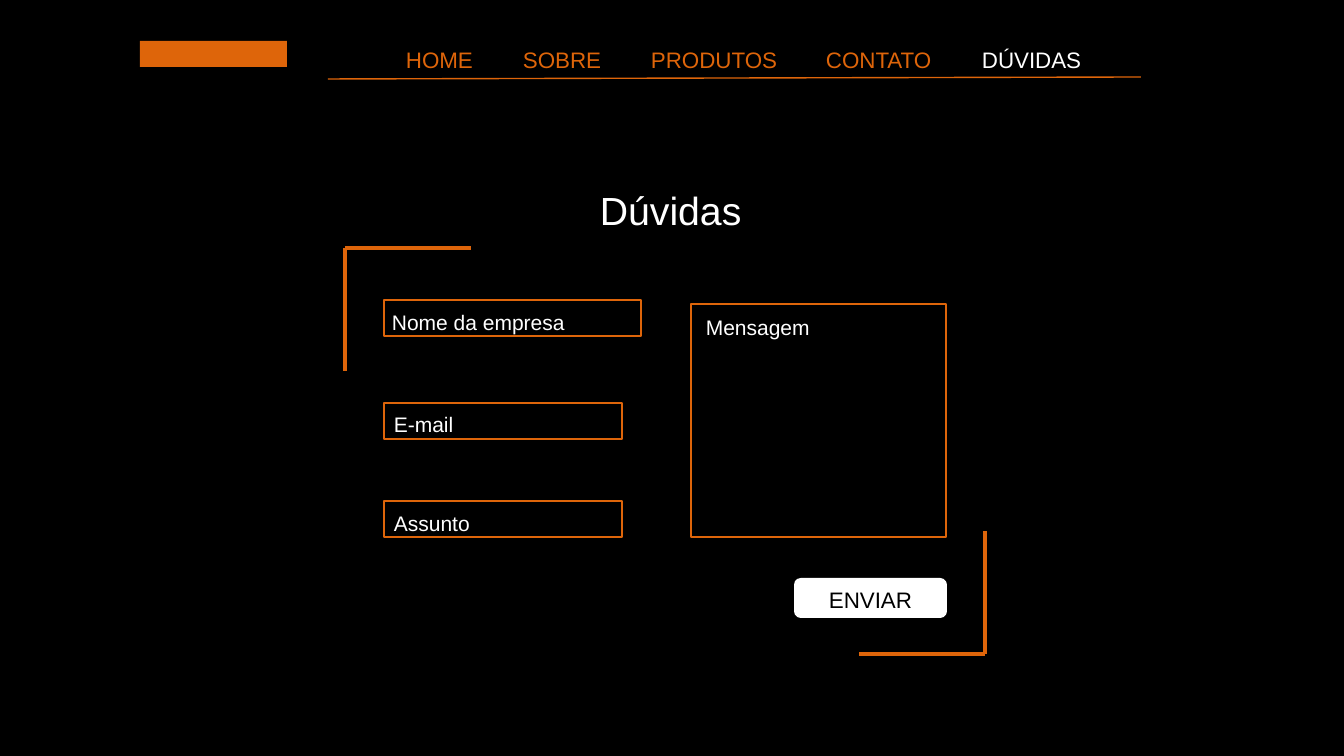
import pptx
import pptx.util
import pptx.dml.color
import pptx.enum.shapes
import pptx.oxml.ns
import lxml.etree

ORANGE = pptx.dml.color.RGBColor(0xDE, 0x65, 0x0A)
WHITE = pptx.dml.color.RGBColor(0xFF, 0xFF, 0xFF)
BLACK = pptx.dml.color.RGBColor(0x00, 0x00, 0x00)

BADGE_BOX = (140, 41, 147, 26)
MENU_BOX = (396, 41, 914, 36)
MENU = [
    ("HOME", 0, ORANGE),
    ("SOBRE", 117, ORANGE),
    ("PRODUTOS", 245, ORANGE),
    ("CONTATO", 420, ORANGE),
    ("DÚVIDAS", 576, WHITE),
]
MENU_RULE = (328, 79, 1141, 77)

TITLE = ("Dúvidas", (590, 181, 394, 57))
FIELDS = [
    ("Nome da empresa", (382, 305, 215, 35), (384, 300, 257, 36)),
    ("E-mail", (384, 407, 198, 35), (384, 403, 238, 36)),
    ("Assunto", (384, 506, 193, 35), (384, 501, 238, 36)),
    ("Mensagem", (696, 310, 302, 35), (691, 304, 255, 233)),
]
BUTTON = ("ENVIAR", (819, 581, 302, 37), (794, 578, 153, 40))
CORNERS = [(345, 248, 1), (985, 654, -1)]
CORNER_WIDTH, CORNER_HEIGHT = 126, 123


def px(length):
    return round(length * 914400 / 100.8)


def add_text(slide, box, pieces, size, tabs=()):
    frame = slide.shapes.add_textbox(*map(px, box)).text_frame
    frame.word_wrap = True
    paragraph = frame.paragraphs[0]
    if tabs:
        properties = paragraph._p.get_or_add_pPr()
        tab_list = lxml.etree.SubElement(properties, pptx.oxml.ns.qn("a:tabLst"))
        for position in tabs:
            lxml.etree.SubElement(tab_list, pptx.oxml.ns.qn("a:tab"),
                                  pos=str(px(position)), algn="l")
    for words, color in pieces:
        run = paragraph.add_run()
        run.text = words
        run.font.name = "Arial"
        run.font.size = pptx.util.Pt(size)
        run.font.color.rgb = color


def add_line(slide, ends, width):
    line = slide.shapes.add_connector(
        pptx.enum.shapes.MSO_CONNECTOR.STRAIGHT, *map(px, ends))
    line.line.color.rgb = ORANGE
    line.line.width = pptx.util.Pt(width)
    lxml.etree.SubElement(line._element.spPr, pptx.oxml.ns.qn("a:effectLst"))


def add_block(slide, kind, box, fill=None, outline=None):
    block = slide.shapes.add_shape(kind, *map(px, box))
    block.shadow.inherit = False
    if fill is None:
        block.fill.background()
    else:
        block.fill.solid()
        block.fill.fore_color.rgb = fill
    if outline is None:
        block.line.fill.background()
    else:
        block.line.color.rgb = outline
        block.line.width = pptx.util.Pt(1)


def main():
    rectangle = pptx.enum.shapes.MSO_SHAPE.RECTANGLE
    rounded = pptx.enum.shapes.MSO_SHAPE.ROUNDED_RECTANGLE

    deck = pptx.Presentation()
    deck.slide_width = px(1344)
    deck.slide_height = px(756)
    slide = deck.slides.add_slide(deck.slide_layouts[6])
    slide.background.fill.solid()
    slide.background.fill.fore_color.rgb = BLACK

    add_block(slide, rectangle, BADGE_BOX, fill=ORANGE)
    links = [("\t" + page if tab else page, color) for page, tab, color in MENU]
    add_text(slide, MENU_BOX, links, size=16, tabs=[tab for _, tab, _ in MENU if tab])
    add_line(slide, MENU_RULE, 1)

    heading, heading_box = TITLE
    add_text(slide, heading_box, [(heading, WHITE)], size=28)

    for x, y, direction in CORNERS:
        add_line(slide, (x, y, x + direction * CORNER_WIDTH, y), 2.25)
        add_line(slide, (x, y, x, y + direction * CORNER_HEIGHT), 2.25)

    for label, label_box, outline_box in FIELDS:
        add_block(slide, rectangle, outline_box, outline=ORANGE)
        add_text(slide, label_box, [(label, WHITE)], size=15)

    action, action_box, button_box = BUTTON
    add_block(slide, rounded, button_box, fill=WHITE)
    add_text(slide, action_box, [(action, BLACK)], size=16)

    deck.save("out.pptx")


if __name__ == "__main__":
    main()
